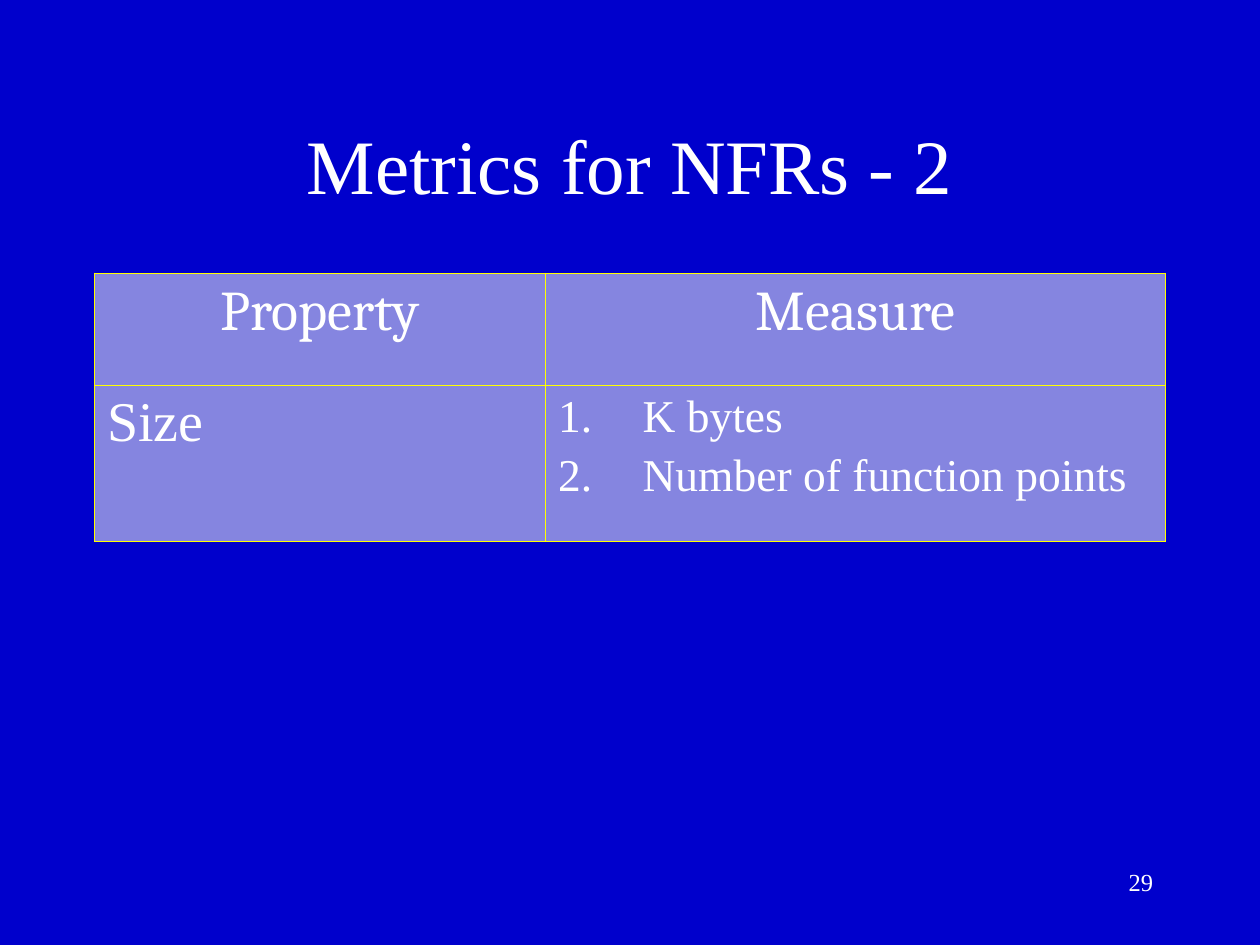
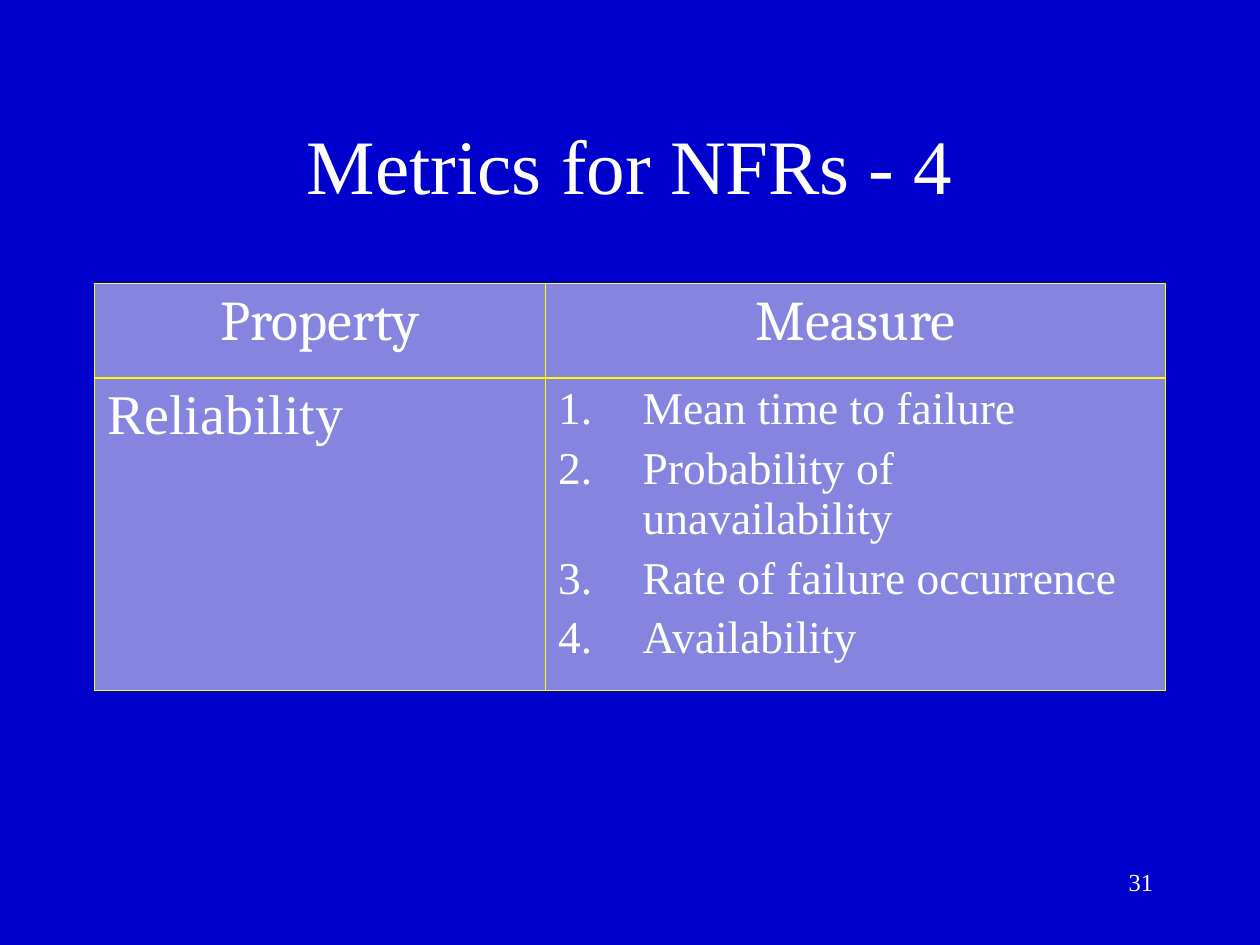
from pptx import Presentation
from pptx.dml.color import RGBColor
from pptx.enum.text import MSO_ANCHOR as Anchor, PP_ALIGN as Align
from pptx.oxml import parse_xml
from pptx.oxml.ns import nsdecls
from pptx.util import Inches, Pt
from lxml.etree import SubElement

BLUE, LILAC, YELLOW, WHITE = "0000CC", "8585E0", "FFFF00", "FFFFFF"
SERIF, HEAD = "Times New Roman", "Cambria"
COLS = (3.58, 4.92)


def color(code):
    """Turn a hex string into a colour."""
    return RGBColor.from_string(code)


def write(frame, *lines, size, font=SERIF, align=Align.LEFT, lead=0, anchor=None):
    """Fill a text frame with one paragraph per line and return them."""
    frame.word_wrap = True
    if anchor is not None:
        frame.vertical_anchor = anchor
    paras = []
    for i, line in enumerate(lines):
        para = frame.add_paragraph() if i else frame.paragraphs[0]
        para.alignment = align
        para.space_before = Pt(size * lead)
        run = para.add_run()
        run.text = line
        run.font.size, run.font.name = Pt(size), font
        run.font.color.rgb = color(WHITE)
        paras.append(para)
    return paras


def label(slide, box, text, **form):
    """Place a text box in the given box."""
    shape = slide.shapes.add_textbox(*map(Inches, box))
    write(shape.text_frame, text, **form)


def number(para):
    """Give a paragraph an automatic number and a hanging indent."""
    props = para._p.get_or_add_pPr()
    props.set("marL", str(Inches(0.67)))
    props.set("indent", str(-Inches(0.67)))
    bullet = SubElement(props, props.tag.replace("pPr", "buAutoNum"))
    bullet.set("type", "arabicPeriod")


def paint(cell):
    """Fill a cell and rule its four sides."""
    cell.fill.solid()
    cell.fill.fore_color.rgb = color(LILAC)
    props = cell._tc.get_or_add_tcPr()
    for i, side in enumerate("LRTB"):
        props.insert(i, parse_xml(
            f'<a:ln{side} {nsdecls("a")} w="{Pt(1)}"><a:solidFill>'
            f'<a:srgbClr val="{YELLOW}"/></a:solidFill></a:ln{side}>'))


def grid(slide, box, rows, name, items):
    """Place the table of one property and its measures."""
    table = slide.shapes.add_table(2, 2, *map(Inches, box)).table
    table.first_row = table.horz_banding = False
    for col, width in zip(table.columns, COLS):
        col.width = Inches(width)
    for row, height in zip(table.rows, rows):
        row.height = Inches(height)
    for cell in table.iter_cells():
        paint(cell)
    for i, text in enumerate(("Property", "Measure")):
        write(table.cell(0, i).text_frame, text, size=32, font=HEAD,
              align=Align.CENTER, lead=0.2)
    write(table.cell(1, 0).text_frame, name, size=32, lead=0.2)
    for para in write(table.cell(1, 1).text_frame, *items, size=26, lead=0.2):
        number(para)


def page(deck, title, folio, top, rows, name, items):
    """Add one slide with its title, table and page number."""
    slide = deck.slides.add_slide(deck.slide_layouts[6])
    fill = slide.background.fill
    fill.solid()
    fill.fore_color.rgb = color(BLUE)
    label(slide, (7.17, 6.83, 2.08, 0.5), folio, size=14, align=Align.RIGHT)
    label(slide, (0.75, 0.67, 8.5, 1.25), title, size=44,
          align=Align.CENTER, anchor=Anchor.MIDDLE)
    grid(slide, (0.75, top, sum(COLS), sum(rows)), rows, name, items)


deck = Presentation()
deck.slide_width, deck.slide_height = Inches(10), Inches(7.5)
page(deck, "Metrics for NFRs - 2", "29", 2.17, (0.89, 1.24), "Size",
     ("K bytes", "Number of function points"))
page(deck, "Metrics for NFRs - 4", "31", 2.25, (0.75, 2.32), "Reliability",
     ("Mean time to failure", "Probability of unavailability",
      "Rate of failure occurrence", "Availability"))
deck.save("out.pptx")
